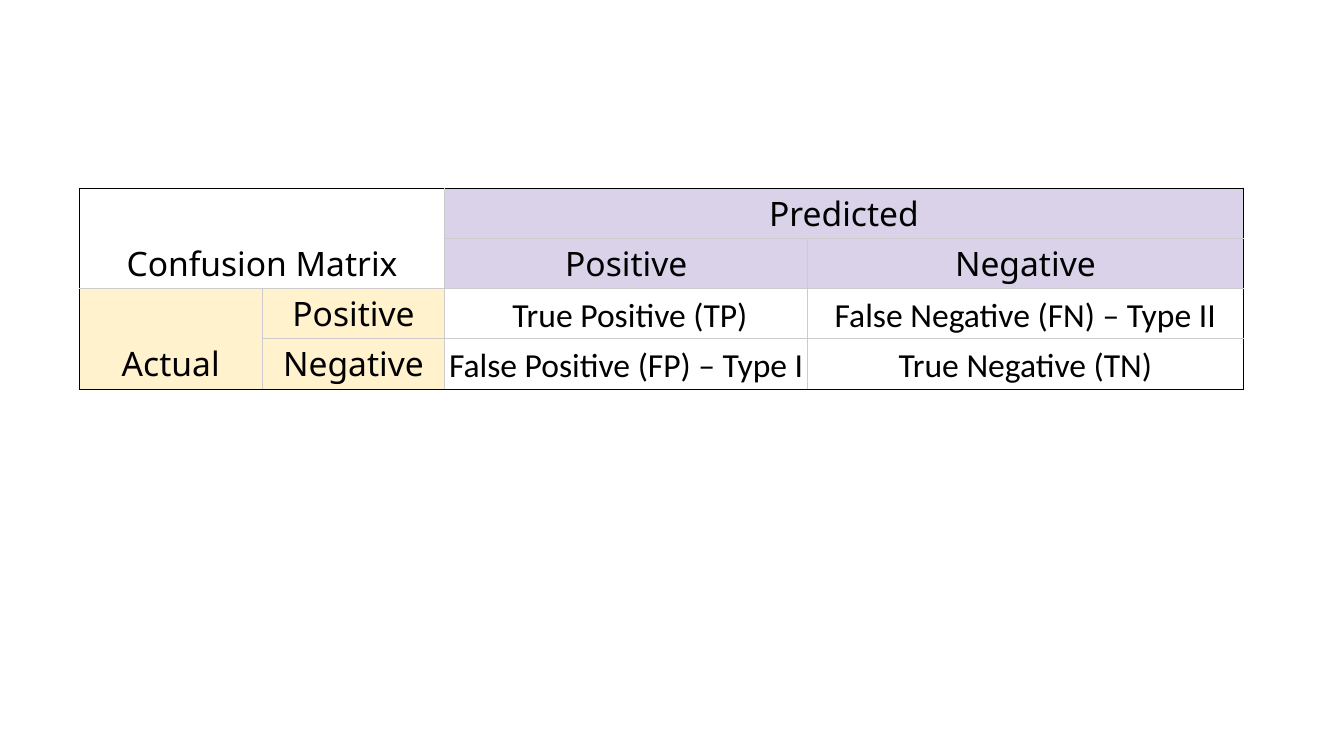
from lxml.etree import SubElement
from pptx import Presentation
from pptx.dml.color import RGBColor
from pptx.enum.text import MSO_ANCHOR as Anchor, PP_ALIGN as Align
from pptx.oxml.ns import qn
from pptx.util import Inches, Pt

COLORS = {
    "text": "000000",
    "outline": "000000",
    "grid": "CCCCCC",
    "predicted": "D9D2E9",
    "actual": "FFF2CC",
}
FONTS = {"label": "Noto Sans", "outcome": "Calibri"}
COLUMN_WIDTHS = [1.36, 1.36, 2.7, 3.24]
ROW_COUNT = 4
ROW_HEIGHT = 0.17
TABLE_LEFT, TABLE_TOP, TABLE_HEIGHT = 0.59, 1.4, 1.33
LINE_WIDTH = 0.6

# row, column, row span, column span, text, font, fill
CELLS = [
    (0, 0, 2, 2, "Confusion Matrix", "label", None),
    (0, 2, 1, 2, "Predicted", "label", "predicted"),
    (1, 2, 1, 1, "Positive", "label", "predicted"),
    (1, 3, 1, 1, "Negative", "label", "predicted"),
    (2, 0, 2, 1, "Actual", "label", "actual"),
    (2, 1, 1, 1, "Positive", "label", "actual"),
    (2, 2, 1, 1, " True Positive (TP)", "outcome", None),
    (2, 3, 1, 1, "False Negative (FN) – Type II", "outcome", None),
    (3, 1, 1, 1, "Negative", "label", "actual"),
    (3, 2, 1, 1, "False Positive (FP) – Type I", "outcome", None),
    (3, 3, 1, 1, "True Negative (TN)", "outcome", None),
]


def set_borders(cell, on_outline):
    properties = cell._tc.get_or_add_tcPr()
    for side, outer in on_outline.items():
        line = SubElement(properties, qn(f"a:ln{side}"), w=str(Pt(LINE_WIDTH)))
        fill = SubElement(line, qn("a:solidFill"))
        SubElement(fill, qn("a:srgbClr"), val=COLORS["outline" if outer else "grid"])


def set_fill(cell, fill_name):
    if fill_name:
        cell.fill.solid()
        cell.fill.fore_color.rgb = RGBColor.from_string(COLORS[fill_name])
    else:
        cell.fill.background()


def set_text(cell, text, font_name):
    cell.text = text
    cell.vertical_anchor = Anchor.BOTTOM
    cell.margin_left = cell.margin_right = Inches(0.03)
    cell.margin_top = cell.margin_bottom = Pt(1.2)
    paragraph = cell.text_frame.paragraphs[0]
    paragraph.alignment = Align.CENTER
    paragraph.font.size = Pt(18)
    paragraph.font.name = FONTS[font_name]
    paragraph.font.color.rgb = RGBColor.from_string(COLORS["text"])


def add_confusion_matrix(slide):
    column_count = len(COLUMN_WIDTHS)
    frame = slide.shapes.add_table(
        ROW_COUNT, column_count, Inches(TABLE_LEFT), Inches(TABLE_TOP),
        Inches(sum(COLUMN_WIDTHS)), Inches(TABLE_HEIGHT),
    )
    table = frame.table
    table.first_row = table.horz_banding = False
    for column, width in zip(table.columns, COLUMN_WIDTHS):
        column.width = Inches(width)
    for row in table.rows:
        row.height = Inches(ROW_HEIGHT)
    frame.height = Inches(TABLE_HEIGHT)

    for top, left, row_span, column_span, text, font_name, fill_name in CELLS:
        bottom, right = top + row_span, left + column_span
        on_outline = {
            "L": left == 0,
            "R": right == column_count,
            "T": top == 0,
            "B": bottom == ROW_COUNT,
        }
        for row in range(top, bottom):
            for column in range(left, right):
                cell = table.cell(row, column)
                set_text(cell, "", font_name)
                set_borders(cell, on_outline)
                set_fill(cell, fill_name)
        origin = table.cell(top, left)
        if row_span * column_span > 1:
            origin.merge(table.cell(bottom - 1, right - 1))
        set_text(origin, text, font_name)


def main():
    presentation = Presentation()
    presentation.slide_width = Inches(10)
    presentation.slide_height = presentation.slide_width * 9 // 16
    slide = presentation.slides.add_slide(presentation.slide_layouts[6])
    add_confusion_matrix(slide)
    presentation.save("out.pptx")


if __name__ == "__main__":
    main()
